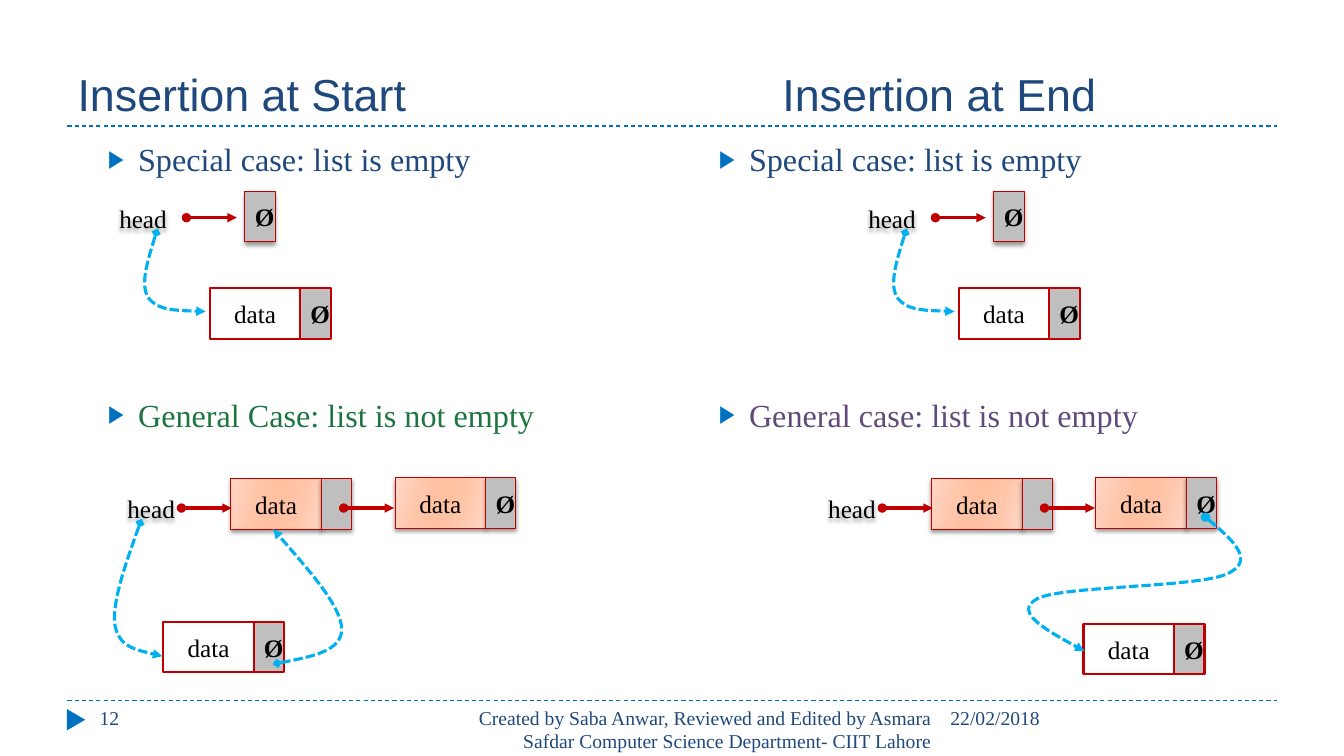
"""Build a slide comparing linked-list insertion at the start and at the end."""
from lxml.etree import SubElement
from pptx import Presentation
from pptx.dml.color import RGBColor
from pptx.enum.dml import MSO_LINE
from pptx.enum.shapes import MSO_CONNECTOR, MSO_SHAPE
from pptx.enum.text import MSO_ANCHOR, MSO_AUTO_SIZE, PP_ALIGN
from pptx.oxml.ns import qn
from pptx.util import Pt

NAVY = RGBColor(0x1F, 0x49, 0x7D)
BLUE = RGBColor(0x00, 0x70, 0xC0)
SKY = RGBColor(0x00, 0xB0, 0xF0)
RED = RGBColor(0xC0, 0x00, 0x00)
GREEN = RGBColor(0x1D, 0x76, 0x41)
PURPLE = RGBColor(0x60, 0x4A, 0x7B)
GREY = RGBColor(0xBF, 0xBF, 0xBF)
WHITE = RGBColor(0xFF, 0xFF, 0xFF)
BLACK = RGBColor(0x00, 0x00, 0x00)
PEACH_STOPS = [
    (0, RGBColor(0xFF, 0xD7, 0xC5)), (30, RGBColor(0xFF, 0xC6, 0xAA)),
    (45, RGBColor(0xFF, 0xC1, 0xA1)), (55, RGBColor(0xFF, 0xC1, 0xA1)),
    (73, RGBColor(0xFF, 0xC6, 0xAA)), (100, RGBColor(0xFF, 0xD7, 0xC5)),
]
SERIF = "Times New Roman"

TITLE = "Insertion at Start\tInsertion at End"
CASES = [
    {"left": 48.2, "width": 431.3, "items": [
        ("Special case: list is empty", NAVY),
        ("General Case: list is not empty", GREEN)]},
    {"left": 484.6, "width": 426.2, "items": [
        ("Special case: list is empty", NAVY),
        ("General case: list is not empty", PURPLE)]},
]
FOOTERS = [
    ("12", 64.1, 208, PP_ALIGN.LEFT),
    ("Created by Saba Anwar, Reviewed and Edited by Asmara Safdar "
     "Computer Science Department- CIIT Lahore", 304.6, 367.9, PP_ALIGN.RIGHT),
    ("22/02/2018", 671.8, 240.5, PP_ALIGN.LEFT),
]
EMPTY_LIST_SHIFTS = (0, 535)
FULL_LIST_SHIFTS = (0, 500.6)
NEW_NODES = [(116.6, 444.2), (774, 445.7)]
EMPTY_LIST_LINK = [(111.6, 166.3), (105.8, 185), (100.1, 203), (105.8, 212.4),
                   (112.3, 221.8), (129.6, 221.8), (146.9, 222.5)]
NEW_LINKS = [
    ("diamond", [(100.1, 373.7), (90, 401.8), (79.9, 430.6), (82.1, 446.4),
                 (85, 462.2), (100.8, 465.1), (115.9, 468.7)]),
    ("diamond", [(198, 473.8), (221, 469.4), (244.1, 465.1), (244.1, 449.3),
                 (243.4, 432.7), (218.9, 405.4), (195.1, 378)]),
    ("oval", [(861.1, 369.4), (879.1, 384.5), (897.1, 400.3), (877, 409.7),
              (856.8, 419.8), (758.2, 418.3), (740.9, 427.7), (723.6, 437),
              (749.5, 451.4), (774.7, 465.1)]),
]
DATA_WIDTH, LINK_WIDTH, NODE_HEIGHT = 64.8, 21.6, 36


def write(paragraph, text, size=18, color=BLACK, font=SERIF, bold=False,
          align=PP_ALIGN.CENTER):
    run = paragraph.add_run()
    run.text = text
    paragraph.alignment = align
    run.font.size, run.font.name, run.font.bold = Pt(size), font, bold
    run.font.color.rgb = color


def place(shape, left, top, width, height):
    shape.left, shape.top = Pt(left), Pt(top)
    shape.width, shape.height = Pt(width), Pt(height)


def cast_shadow(shape):
    shape.shadow.inherit = False
    effects = shape._element.spPr.find(qn("a:effectLst"))
    shadow = SubElement(effects, qn("a:outerShdw"), blurRad=str(Pt(3)),
                        dist=str(Pt(2)), dir="5400000", rotWithShape="0")
    tint = SubElement(shadow, qn("a:srgbClr"), val=str(BLACK))
    SubElement(tint, qn("a:alpha"), val="40000")


def add_text(slide, text, left, top, width, height, anchor=MSO_ANCHOR.TOP, **style):
    box = slide.shapes.add_textbox(Pt(left), Pt(top), Pt(width), Pt(height))
    frame = box.text_frame
    frame.word_wrap, frame.vertical_anchor = True, anchor
    write(frame.paragraphs[0], text, **style)
    return box


def add_cell(slide, text, left, top, width, fill, raised, bold=False):
    cell = slide.shapes.add_shape(
        MSO_SHAPE.RECTANGLE, Pt(left), Pt(top), Pt(width), Pt(NODE_HEIGHT))
    cell.shadow.inherit = False
    if fill is None:
        cell.fill.gradient()
        cell.fill.gradient_angle = 344
        stops = cell._element.spPr.find(".//" + qn("a:gsLst"))
        stops.clear()
        for position, color in PEACH_STOPS:
            stop = SubElement(stops, qn("a:gs"), pos=str(position * 1000))
            SubElement(stop, qn("a:srgbClr"), val=str(color))
    else:
        cell.fill.solid()
        cell.fill.fore_color.rgb = fill
    cell.line.color.rgb = RED
    cell.line.width = Pt(0.75 if raised else 1.5)
    if raised:
        cast_shadow(cell)
    if text:
        frame = cell.text_frame
        frame.word_wrap, frame.vertical_anchor = True, MSO_ANCHOR.MIDDLE
        write(frame.paragraphs[0], text, bold=bold)


def add_node(slide, left, top, link="Ø", fill=WHITE, raised=False):
    add_cell(slide, "data", left, top, DATA_WIDTH, fill, raised)
    add_cell(slide, link, left + DATA_WIDTH, top, LINK_WIDTH, GREY, raised, bold=True)


def set_line(shape, color, width, dash=None, head=None):
    shape.line.color.rgb, shape.line.width = color, Pt(width)
    if dash:
        shape.line.dash_style = dash
    if head:
        outline = shape._element.spPr.find(qn("a:ln"))
        SubElement(outline, qn("a:headEnd"), type=head)
        SubElement(outline, qn("a:tailEnd"), type="triangle")


def add_line(slide, left, top, length, color, width, **style):
    line = slide.shapes.add_connector(
        MSO_CONNECTOR.STRAIGHT, Pt(left), Pt(top), Pt(left + length), Pt(top))
    set_line(line, color, width, **style)
    SubElement(line._element.spPr, qn("a:effectLst"))


def add_curve(slide, points, head, shift=0):
    start, *controls = [(Pt(x + shift), Pt(y)) for x, y in points]
    builder = slide.shapes.build_freeform(*start)
    builder.add_line_segments(controls, close=False)
    curve = builder.convert_to_shape()
    path = curve._element.spPr.find(".//" + qn("a:path"))
    segments = path.findall(qn("a:lnTo"))
    for first in range(0, len(segments), 3):
        bezier = SubElement(path, qn("a:cubicBezTo"))
        for segment in segments[first:first + 3]:
            bezier.append(segment[0])
            path.remove(segment)
    curve.fill.background()
    curve.shadow.inherit = False
    set_line(curve, SKY, 2.25, dash=MSO_LINE.SQUARE_DOT, head=head)


def add_head(slide, left, top, arrow_left, arrow_top):
    label = add_text(slide, "head", left, top, 50.4, 21.6, anchor=MSO_ANCHOR.MIDDLE)
    cast_shadow(label)
    add_line(slide, arrow_left, arrow_top, 36, RED, 2.25, head="oval")


def add_bullet(paragraph):
    paragraph.level = 1
    props = paragraph._p.get_or_add_pPr()
    props.set("marL", str(Pt(43.2)))
    props.set("indent", str(Pt(-21.6)))
    SubElement(SubElement(props, qn("a:buClr")), qn("a:srgbClr"), val=str(BLUE))
    SubElement(props, qn("a:buSzPct"), val="76000")
    SubElement(props, qn("a:buFont"), typeface="Arial")
    SubElement(props, qn("a:buChar"), char="▶")


def fill_placeholders(slide):
    title, *bodies = slide.placeholders
    place(title, 48.2, 12.2, 864, 77.8)
    frame = title.text_frame
    frame.auto_size, frame.vertical_anchor = MSO_AUTO_SIZE.NONE, MSO_ANCHOR.BOTTOM
    tabs = SubElement(frame.paragraphs[0]._p.get_or_add_pPr(), qn("a:tabLst"))
    SubElement(tabs, qn("a:tab"), pos=str(Pt(503.5)), algn="l")
    write(frame.paragraphs[0], TITLE, size=32, color=NAVY, font="Arial",
          align=PP_ALIGN.LEFT)
    for body, case in zip(bodies, CASES):
        place(body, case["left"], 96, case["width"], 388.8)
        frame = body.text_frame
        frame.auto_size = MSO_AUTO_SIZE.NONE
        for row, (text, color) in enumerate(case["items"]):
            paragraph = frame.add_paragraph() if row else frame.paragraphs[0]
            add_bullet(paragraph)
            paragraph.space_before = Pt(155 * row)
            write(paragraph, text, size=23, color=color, align=PP_ALIGN.LEFT)


def main():
    deck = Presentation()
    deck.slide_width, deck.slide_height = Pt(960), Pt(540)
    slide = deck.slides.add_slide(deck.slide_layouts[3])
    for rule_top in (90, 500.4):
        add_line(slide, 48.2, rule_top, 864, BLUE, 0.75, dash=MSO_LINE.DASH)
    marker = slide.shapes.add_shape(
        MSO_SHAPE.ISOSCELES_TRIANGLE, Pt(46.8), Pt(507.6), Pt(15.1), Pt(13))
    marker.rotation = 90
    marker.shadow.inherit = False
    marker.fill.solid()
    marker.fill.fore_color.rgb = BLUE
    marker.line.fill.background()
    fill_placeholders(slide)
    for text, left, width, align in FOOTERS:
        add_text(slide, text, left, 500.4, width, 28.8, size=14, color=NAVY, align=align)
    for shift in EMPTY_LIST_SHIFTS:
        add_head(slide, 77 + shift, 145.4, 133.2 + shift, 155.5)
        add_cell(slide, "Ø", 175 + shift, 136.8, LINK_WIDTH, GREY, True, bold=True)
        add_node(slide, 149.8 + shift, 205.9)
        add_curve(slide, EMPTY_LIST_LINK, "diamond", shift)
    for shift, new_node in zip(FULL_LIST_SHIFTS, NEW_NODES):
        add_node(slide, 164.9 + shift, 342, link="", fill=None, raised=True)
        add_node(slide, 282.2 + shift, 341.3, fill=None, raised=True)
        add_head(slide, 82.8 + shift, 352.1, 129.6 + shift, 362.9)
        add_line(slide, 245.5 + shift, 362.9, 36, RED, 2.25, head="oval")
        add_node(slide, *new_node)
    for head, points in NEW_LINKS:
        add_curve(slide, points, head)
    deck.save("out.pptx")


if __name__ == "__main__":
    main()
